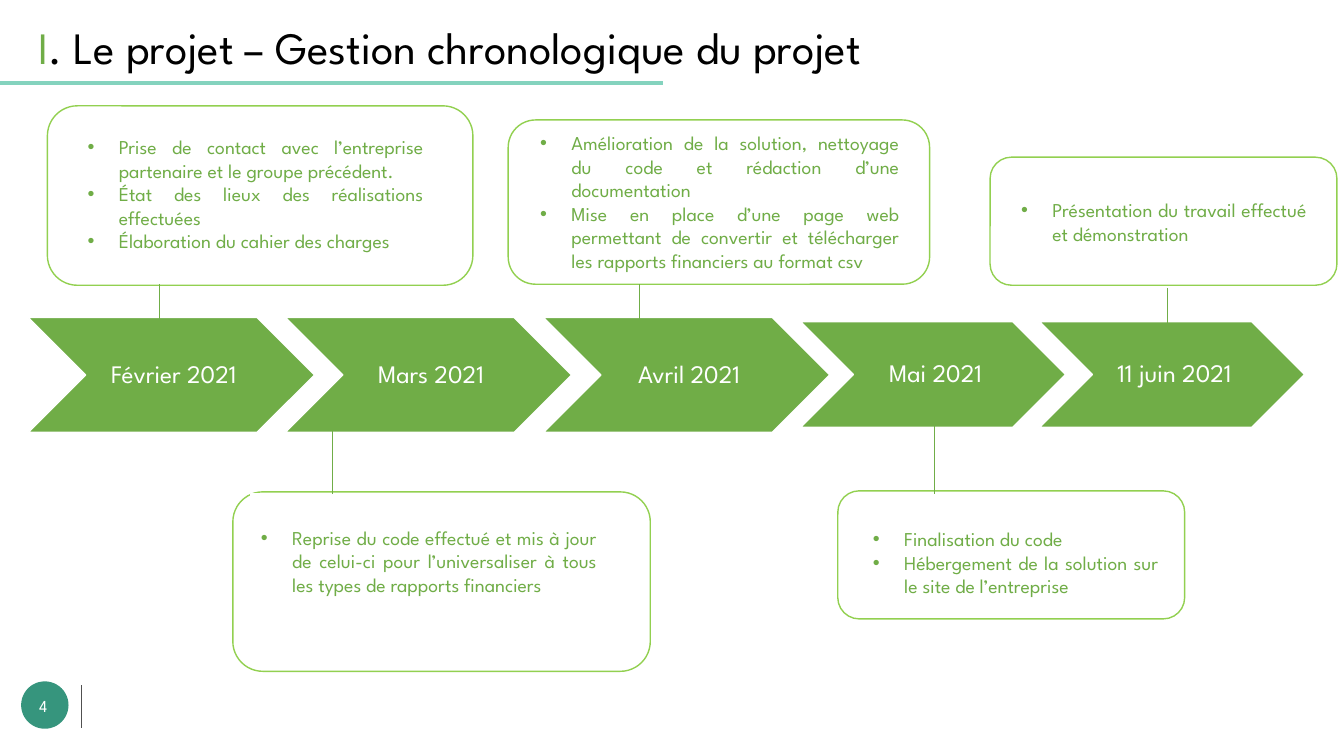
from lxml import etree
from pptx import Presentation
from pptx.dml.color import RGBColor
from pptx.enum import shapes, text
from pptx.oxml.ns import qn
from pptx.util import Pt

PX = 9144  # 100 px to the inch
FONT = "League Spartan"
COLORS = {
    "green": "70AD47", "lime": "92D050", "teal": "36957D", "mint": "84D3BE",
    "grey": "505050", "white": "FFFFFF", "black": "000000",
}
KIND = shapes.MSO_SHAPE
ALIGN = text.PP_ALIGN


def rgb(name):
    return RGBColor.from_string(COLORS[name])


prs = Presentation()
prs.slide_width, prs.slide_height = 1333 * PX, 750 * PX
slide = prs.slides.add_slide(prs.slide_layouts[6])


def add_block(kind, box, fill, outline):
    """Add a flat shape with a 1 pt outline, or none, and wrapped, middle-anchored text."""
    block = slide.shapes.add_shape(kind, *(n * PX for n in box))
    block.shadow.inherit = False
    block.fill.solid()
    block.fill.fore_color.rgb = rgb(fill)
    if outline:
        block.line.color.rgb = rgb(outline)
        block.line.width = Pt(1)
    else:
        block.line.fill.background()
    block.text_frame.word_wrap = True
    block.text_frame.vertical_anchor = text.MSO_ANCHOR.MIDDLE
    return block


# Title and page number
add_block(KIND.OVAL, (21, 676, 47, 47), "teal", None)
labels = [
    ((28, 15, 1065, 64), 32, ALIGN.LEFT, text.MSO_ANCHOR.TOP,
     [("I", "green"), (". Le projet – Gestion chronologique du projet", "black")]),
    ((18, 678, 50, 44), 12, ALIGN.CENTER, text.MSO_ANCHOR.MIDDLE, [("4", "white")]),
]
for box, size, align, anchor, runs in labels:
    frame = slide.shapes.add_textbox(*(n * PX for n in box)).text_frame
    frame.word_wrap = True
    frame.vertical_anchor = anchor
    frame.paragraphs[0].alignment = align
    for words, color in runs:
        run = frame.paragraphs[0].add_run()
        run.text = words
        run.font.name, run.font.size = FONT, Pt(size)
        run.font.color.rgb = rgb(color)

# Timeline arrows: three large, then two slightly smaller
months = [
    ("Février 2021", (28, 315, 284, 114)),
    ("Mars 2021", (283, 315, 284, 114)),
    ("Avril 2021", (539, 315, 284, 114)),
    ("Mai 2021", (794, 319, 263, 105)),
    ("11 juin 2021", (1031, 319, 263, 105)),
]
for month, box in months:
    frame = add_block(KIND.CHEVRON, box, "green", "white").text_frame
    frame.margin_left = 8 * PX
    frame.margin_top = frame.margin_right = frame.margin_bottom = 3 * PX
    label = frame.paragraphs[0]
    label.alignment, label.line_spacing = ALIGN.CENTER, 0.9
    run = label.add_run()
    run.text = month
    run.font.name, run.font.size = FONT, Pt(18)
    run.font.color.rgb = rgb("white")

# Cards: outline, inner text area, its bottom inset, tasks
cards = [
    ((47, 105, 422, 178), (77, 111, 353, 163), 5,
     ["Prise de contact avec l’entreprise partenaire et le groupe précédent.",
      "État des lieux des réalisations effectuées",
      "Élaboration du cahier des charges"]),
    ((231, 488, 414, 178), (249, 490, 353, 156), 28,
     ["Reprise du code effectué et mis à jour de celui-ci pour l’universaliser "
      "à tous les types de rapports financiers"]),
    ((504, 119, 418, 163), (526, 129, 376, 142), 5,
     ["Amélioration de la solution, nettoyage du code et rédaction d’une documentation",
      "Mise en place d’une page web permettant de convertir et télécharger "
      "les rapports financiers au format csv"]),
    ((831, 487, 344, 127), (856, 507, 303, 102), 5,
     ["Finalisation du code",
      "Hébergement de la solution sur le site de l’entreprise"]),
    ((982, 156, 344, 127), (1003, 169, 303, 102), 5,
     ["Présentation du travail effectué et démonstration"]),
]
for outline_box, text_box, bottom_inset, tasks in cards:
    add_block(KIND.ROUNDED_RECTANGLE, outline_box, "white", "lime")
    frame = add_block(KIND.RECTANGLE, text_box, "white", "white").text_frame
    frame.margin_bottom = bottom_inset * PX
    for i, task in enumerate(tasks):
        bullet = frame.add_paragraph() if i else frame.paragraphs[0]
        bullet.alignment = ALIGN.JUSTIFY
        props = bullet._p.get_or_add_pPr()
        props.set("marL", str(31 * PX))
        props.set("indent", str(-31 * PX))
        etree.SubElement(props, qn("a:buFont")).set("typeface", "Arial")
        etree.SubElement(props, qn("a:buChar")).set("char", "•")
        run = bullet.add_run()
        run.text = task
        run.font.name, run.font.size = FONT, Pt(14)
        run.font.color.rgb = rgb("green")

# Title rule, page-number rule, then the links between arrows and cards
lines = [
    ((0, 82, 658, 82), "mint", 2.75),
    ((81, 680, 81, 722), "grey", 0.5),
    ((158, 282, 158, 318), "green", 0.5),
    ((330, 426, 330, 490), "green", 0.5),
    ((634, 282, 634, 346), "green", 0.5),
    ((927, 399, 927, 490), "green", 0.5),
    ((1158, 286, 1158, 349), "green", 0.5),
]
for ends, color, width in lines:
    line = slide.shapes.add_connector(shapes.MSO_CONNECTOR.STRAIGHT, *(n * PX for n in ends))
    line.line.color.rgb = rgb(color)
    line.line.width = Pt(width)
    etree.SubElement(line._element.spPr, qn("a:effectLst"))

prs.save("out.pptx")
